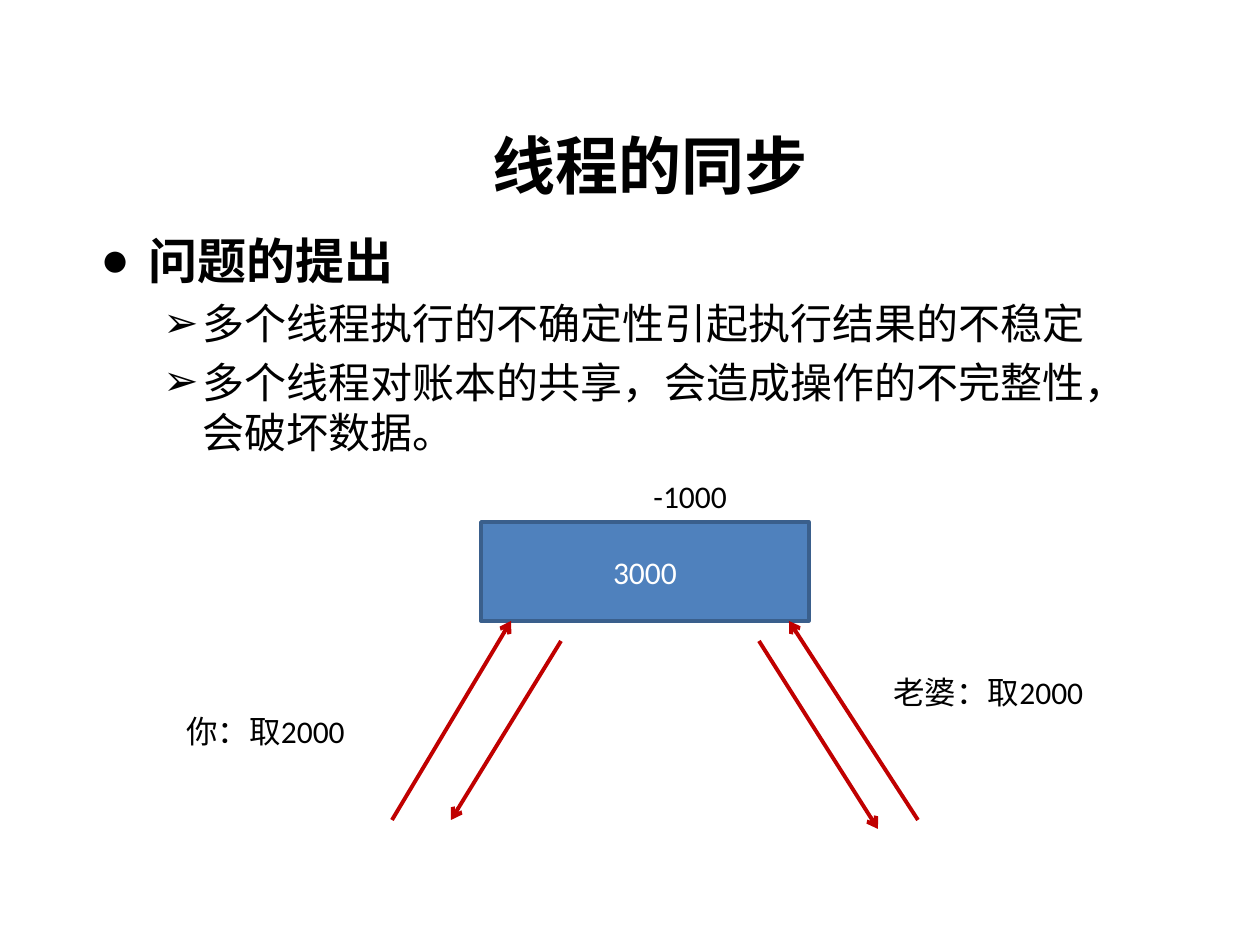
import pptx
import pptx.dml.color
import pptx.enum.shapes
import pptx.enum.text
import pptx.oxml.ns
import pptx.util
from lxml import etree

ALIGN = pptx.enum.text.PP_ALIGN
ANCHOR = pptx.enum.text.MSO_ANCHOR


def color(value):
    return pptx.dml.color.RGBColor.from_string(value)


def px(value):
    return pptx.util.Emu(round(value * 914400 / 126))


def add_child(parent, tag, **attributes):
    return etree.SubElement(parent, pptx.oxml.ns.qn(tag), attributes)


class SlideBuilder:
    """Hold the style and the current slide, and add its elements."""

    heading_font = "Times New Roman"
    label_font = "Calibri"
    black = "000000"
    white = "FFFFFF"
    blue = "4F81BD"
    border = "3A5F8C"
    red = "C00000"

    def __init__(self, presentation):
        self.slide = presentation.slides.add_slide(presentation.slide_layouts[5])

    def set_font(self, paragraph, name, size, value, bold=False):
        font = paragraph.font
        font.name = name
        font.size = pptx.util.Pt(size)
        font.bold = bold
        font.color.rgb = color(value)

    def title(self, text, left, top, width, height):
        shape = self.slide.shapes.title
        shape.left, shape.top, shape.width, shape.height = map(px, (left, top, width, height))
        frame = shape.text_frame
        frame.text = text
        frame.auto_size = pptx.enum.text.MSO_AUTO_SIZE.NONE
        frame.vertical_anchor = ANCHOR.MIDDLE
        paragraph = frame.paragraphs[0]
        paragraph.alignment = ALIGN.CENTER
        self.set_font(paragraph, self.heading_font, 36, self.black, True)

    def bullets(self, items, left, top, width, height):
        shape = self.slide.shapes.add_textbox(*map(px, (left, top, width, height)))
        frame = shape.text_frame
        frame.word_wrap = True
        styles = [("●", 48, 48, 28, True), ("➢", 102, 39, 24, False)]
        for index, (level, text) in enumerate(items):
            mark, margin, hanging, size, bold = styles[level]
            paragraph = frame.add_paragraph() if index else frame.paragraphs[0]
            paragraph.text = text
            paragraph.level = level
            paragraph.space_before = pptx.util.Pt(size * 0.2 if index else 0)
            properties = paragraph._p.get_or_add_pPr()
            properties.set("marL", str(px(margin)))
            properties.set("indent", str(-px(hanging)))
            add_child(properties, "a:buFont", typeface="Arial")
            add_child(properties, "a:buChar", char=mark)
            self.set_font(paragraph, self.heading_font, size, self.black, bold)

    def box(self, text, left, top, width, height):
        shape = self.slide.shapes.add_shape(
            pptx.enum.shapes.MSO_SHAPE.RECTANGLE, *map(px, (left, top, width, height)))
        shape.shadow.inherit = False
        shape.fill.solid()
        shape.fill.fore_color.rgb = color(self.blue)
        shape.line.color.rgb = color(self.border)
        shape.line.width = pptx.util.Pt(2)
        frame = shape.text_frame
        frame.text = text
        frame.vertical_anchor = ANCHOR.MIDDLE
        paragraph = frame.paragraphs[0]
        paragraph.alignment = ALIGN.CENTER
        self.set_font(paragraph, self.label_font, 18, self.white)

    def label(self, text, left, top, width, height):
        shape = self.slide.shapes.add_textbox(*map(px, (left, top, width, height)))
        frame = shape.text_frame
        frame.word_wrap = True
        frame.auto_size = pptx.enum.text.MSO_AUTO_SIZE.SHAPE_TO_FIT_TEXT
        frame.text = text
        self.set_font(frame.paragraphs[0], self.label_font, 18, self.black)

    def arrow(self, *ends):
        connector = self.slide.shapes.add_connector(
            pptx.enum.shapes.MSO_CONNECTOR.STRAIGHT, *map(px, ends))
        connector.line.color.rgb = color(self.red)
        connector.line.width = pptx.util.Pt(2.25)
        add_child(connector.line._get_or_add_ln(), "a:tailEnd", type="arrow")
        add_child(connector._element.spPr, "a:effectLst")


def main():
    presentation = pptx.Presentation()
    presentation.slide_width = px(1260)
    presentation.slide_height = px(945)
    builder = SlideBuilder(presentation)
    builder.title("线程的同步", 305, 106, 690, 117)
    builder.bullets([
        (0, "问题的提出"),
        (1, "多个线程执行的不确定性引起执行结果的不稳定"),
        (1, "多个线程对账本的共享，会造成操作的不完整性，会破坏数据。"),
    ], 88, 224, 1082, 277)
    builder.box("3000", 481, 522, 328, 99)
    for ends in [
        (392, 820, 511, 621),
        (918, 820, 789, 621),
        (561, 641, 451, 820),
        (759, 641, 878, 829),
    ]:
        builder.arrow(*ends)
    builder.label("你：取2000", 174, 706, 218, 50)
    builder.label("老婆：取2000", 881, 667, 307, 50)
    builder.label("-1000", 641, 471, 115, 50)
    presentation.save("out.pptx")


if __name__ == "__main__":
    main()
